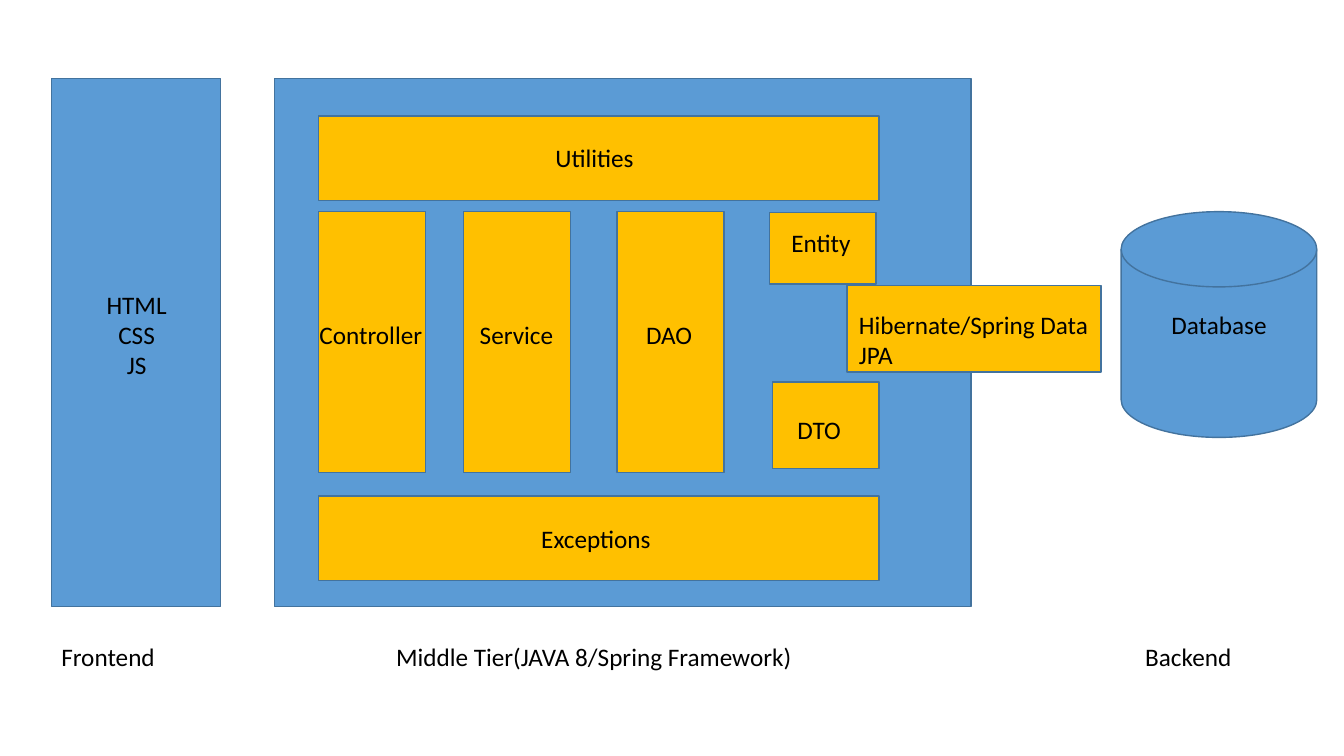
from pptx import Presentation
from pptx.dml.color import RGBColor
from pptx.enum import shapes, text
from pptx.util import Inches, Pt

COLORS = {"tier": "5B9BD5", "module": "FFC000", "outline": "43739E", "text": "000000"}
RECT = shapes.MSO_SHAPE.RECTANGLE
DISK = shapes.MSO_SHAPE.FLOWCHART_MAGNETIC_DISK

deck = Presentation()
deck.slide_width, deck.slide_height = Inches(13.33), Inches(7.5)
slide = deck.slides.add_slide(deck.slide_layouts[6])


def add_block(kind, color, left, top, width, height):
    block = slide.shapes.add_shape(
        kind, Inches(left), Inches(top), Inches(width), Inches(height))
    block.shadow.inherit = False
    block.fill.solid()
    block.fill.fore_color.rgb = RGBColor.from_string(COLORS[color])
    block.line.color.rgb = RGBColor.from_string(COLORS["outline"])
    block.line.width = Pt(1)


def add_label(words, left, top, width, height=0.4, align=text.PP_ALIGN.LEFT):
    label = slide.shapes.add_textbox(
        Inches(left), Inches(top), Inches(width), Inches(height))
    frame = label.text_frame
    frame.word_wrap = True
    frame.auto_size = text.MSO_AUTO_SIZE.SHAPE_TO_FIT_TEXT
    frame.text = words
    paragraph = frame.paragraphs[0]
    paragraph.alignment = align
    for run in paragraph.runs:
        run.font.name = "Calibri"
        run.font.size = Pt(18)
        run.font.color.rgb = RGBColor.from_string(COLORS["text"])


# Frontend, middle tier and database
tier_top, tier_height = 0.78, 5.24
add_block(RECT, "tier", 0.51, tier_top, 1.68, tier_height)
add_label("HTML\vCSS\vJS", 0.91, 2.82, 0.89, 1.01, text.PP_ALIGN.CENTER)
add_block(RECT, "tier", 2.72, tier_top, 6.91, tier_height)
add_block(DISK, "tier", 11.12, 2.1, 1.94, 2.24)
add_label("Database", 11.52, 3.02, 1.24)

# Bars spanning the middle tier
for name, top, label_left, label_top, label_width in [
    ("Utilities", 1.15, 5.41, 1.36, 2.82),
    ("Exceptions", 4.92, 5.27, 5.14, 3.34),
]:
    add_block(RECT, "module", 3.16, top, 5.56, 0.84)
    add_label(name, label_left, label_top, label_width)

# Layer columns and data objects
module_width = 1.06
for name, left, top, height, label_left, label_top, label_width in [
    ("Controller", 3.16, 2.1, 2.59, 3.07, 3.12, 1.34),
    ("Service", 4.6, 2.1, 2.59, 4.66, 3.12, 1.17),
    ("DAO", 6.12, 2.1, 2.59, 6.31, 3.12, 1.17),
    ("Entity", 7.63, 2.11, 0.71, 7.75, 2.21, 1.18),
    ("DTO", 7.66, 3.79, 0.86, 7.81, 4.06, 1.18),
]:
    add_block(RECT, "module", left, top, module_width, height)
    add_label(name, label_left, label_top, label_width)

# Persistence bridge to the database
add_block(RECT, "module", 8.4, 2.83, 2.52, 0.86)
add_label("Hibernate/Spring Data JPA", 8.42, 3.02, 2.5, 0.71)

# Tier captions
for caption, left, width in [
    ("Frontend", 0.51, 1.75),
    ("Middle Tier(JAVA 8/Spring Framework)", 3.83, 4.4),
    ("Backend", 11.26, 1.75),
]:
    add_label(caption, left, 6.31, width)

deck.save("out.pptx")
